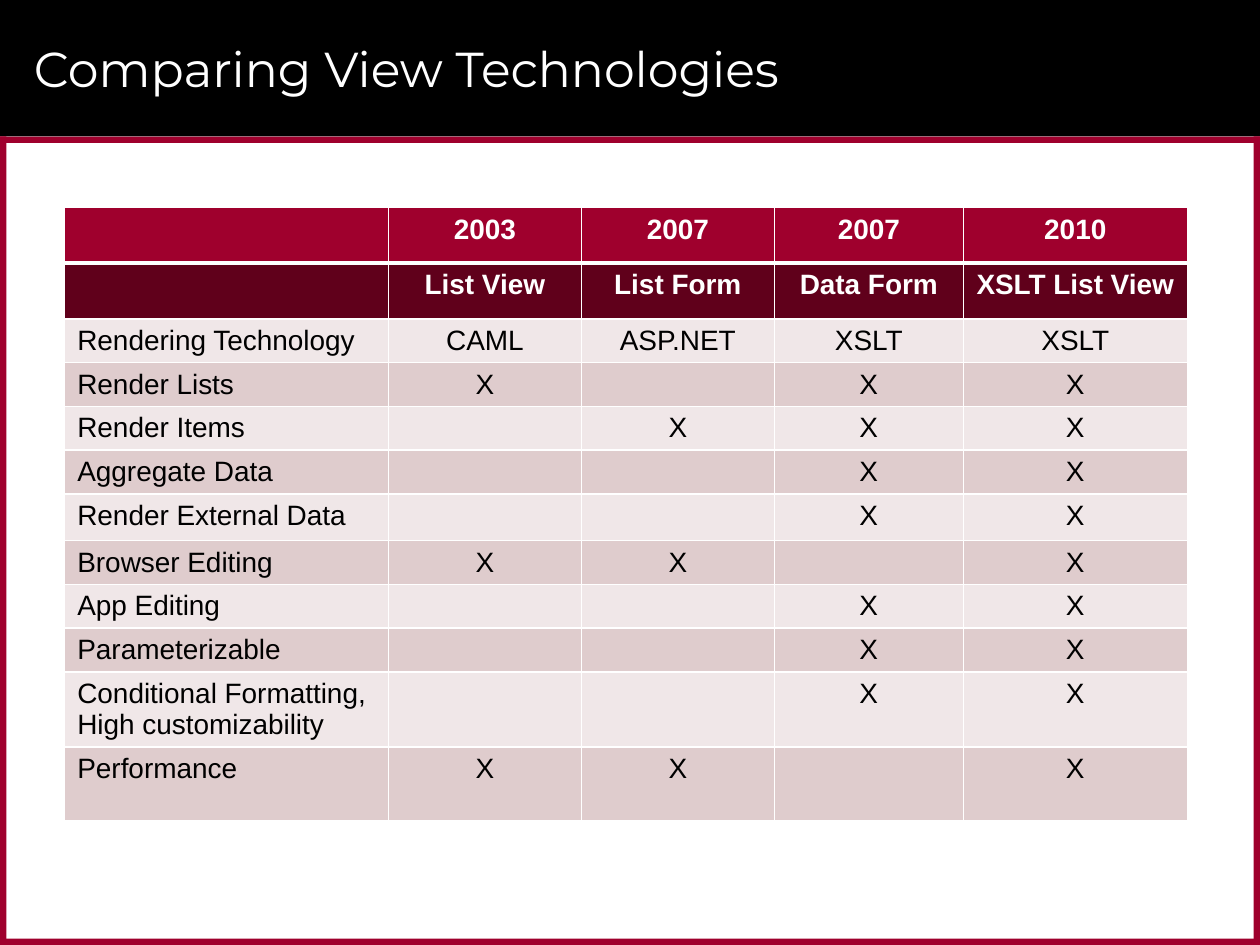
from lxml import etree
from pptx import Presentation
from pptx import util as u
from pptx.dml.color import RGBColor
from pptx.enum import shapes, text
from pptx.oxml.ns import qn

Pt = u.Pt
COLORS = {"black": "000000", "white": "FFFFFF", "red": "9F002D",
          "maroon": "60001B", "light": "F0E7E8", "dark": "DFCCCD"}
TITLE = "Comparing View Technologies"
ROWS = [
    ("", "2003", "2007", "2007", "2010"),
    ("", "List View", "List Form", "Data Form", "XSLT List View"),
    ("Rendering Technology", "CAML", "ASP.NET", "XSLT", "XSLT"),
    ("Render Lists", "X", "", "X", "X"),
    ("Render Items", "", "X", "X", "X"),
    ("Aggregate Data", "", "", "X", "X"),
    ("Render External Data", "", "", "X", "X"),
    ("Browser Editing", "X", "X", "", "X"),
    ("App Editing", "", "", "X", "X"),
    ("Parameterizable", "", "", "X", "X"),
    ("Conditional Formatting, High customizability", "", "", "X", "X"),
    ("Performance", "X", "X", "", "X"),
]
COL_WIDTHS = [185, 110.25, 110.25, 108, 128]
ROW_HEIGHTS = [31.8] * 2 + [24.8] * 4 + [26.8] + [24.8] * 3 + [42.4] * 2
W, H, BAND, EDGE = 720, 540, 78, 3.6
FRAME = [
    (0, 0, W, BAND, "black"),
    (0, BAND, W, EDGE, "red"),
    (0, H - EDGE, W, EDGE, "red"),
    (W - EDGE, BAND, EDGE, H - BAND, "red"),
    (0, BAND, EDGE, H - BAND, "red"),
]


def rgb(name):
    return RGBColor.from_string(COLORS[name])


def set_attrs(obj, values):
    for name, value in values.items():
        setattr(obj, name, value)


def style_run(r, color, **values):
    set_attrs(r.font, values)
    r.font.color.rgb = rgb(color)


def set_borders(cell, bottom):
    tc_pr = cell._tc.get_or_add_tcPr()
    for i, (side, width) in enumerate(zip("LRTB", (1, 1, 1, bottom))):
        ln = etree.Element(qn(f"a:ln{side}"), w=str(Pt(width)))
        fill = etree.SubElement(ln, qn("a:solidFill"))
        etree.SubElement(fill, qn("a:srgbClr"), val=COLORS["white"])
        tc_pr.insert(i, ln)


def add_frame(s):
    for x, y, w, h, color in FRAME:
        sp = s.shapes.add_shape(shapes.MSO_SHAPE.RECTANGLE, Pt(x), Pt(y), Pt(w), Pt(h))
        sp.shadow.inherit = False
        sp.fill.solid()
        sp.fill.fore_color.rgb = rgb(color)
        sp.line.fill.background()


def add_title(s):
    title = s.shapes.title
    s.shapes._spTree.append(title._element)
    set_attrs(title, {"left": Pt(12.2), "top": Pt(5.8), "width": Pt(678), "height": Pt(66)})
    tf = title.text_frame
    set_attrs(tf, {"word_wrap": True, "auto_size": text.MSO_AUTO_SIZE.NONE,
                   "vertical_anchor": text.MSO_ANCHOR.MIDDLE})
    p = tf.paragraphs[0]
    p.alignment = text.PP_ALIGN.LEFT
    r = p.add_run()
    r.text = TITLE
    style_run(r, "white", size=Pt(28), name="Montserrat")


def fill_cell(cell, content, row, col):
    header = row < 2
    fill = ("red", "maroon")[row] if header else ("light", "dark")[row % 2]
    cell.fill.solid()
    cell.fill.fore_color.rgb = rgb(fill)
    set_borders(cell, 3 if row == 0 else 1)
    p = cell.text_frame.paragraphs[0]
    p.alignment = text.PP_ALIGN.CENTER if col else text.PP_ALIGN.LEFT
    if content:
        r = p.add_run()
        r.text = content
        style_run(r, "white" if header else "black", size=Pt(16), name="Arial", bold=header)
    else:
        end = etree.SubElement(p._p, qn("a:endParaRPr"), sz="1600")
        etree.SubElement(end, qn("a:latin"), typeface="Arial")


def add_comparison(s):
    frame = s.shapes.add_table(len(ROWS), len(COL_WIDTHS), Pt(37), Pt(118.6),
                               Pt(sum(COL_WIDTHS)), Pt(sum(ROW_HEIGHTS)))
    table = frame.table
    for column, width in zip(table.columns, COL_WIDTHS):
        column.width = Pt(width)
    for row, height in zip(table.rows, ROW_HEIGHTS):
        row.height = Pt(height)
    for i, row in enumerate(ROWS):
        for j, content in enumerate(row):
            fill_cell(table.cell(i, j), content, i, j)


def main():
    prs = Presentation()
    set_attrs(prs, {"slide_width": Pt(W), "slide_height": Pt(H)})
    s = prs.slides.add_slide(prs.slide_layouts[5])
    add_frame(s)
    add_title(s)
    add_comparison(s)
    prs.save("out.pptx")


if __name__ == "__main__":
    main()
